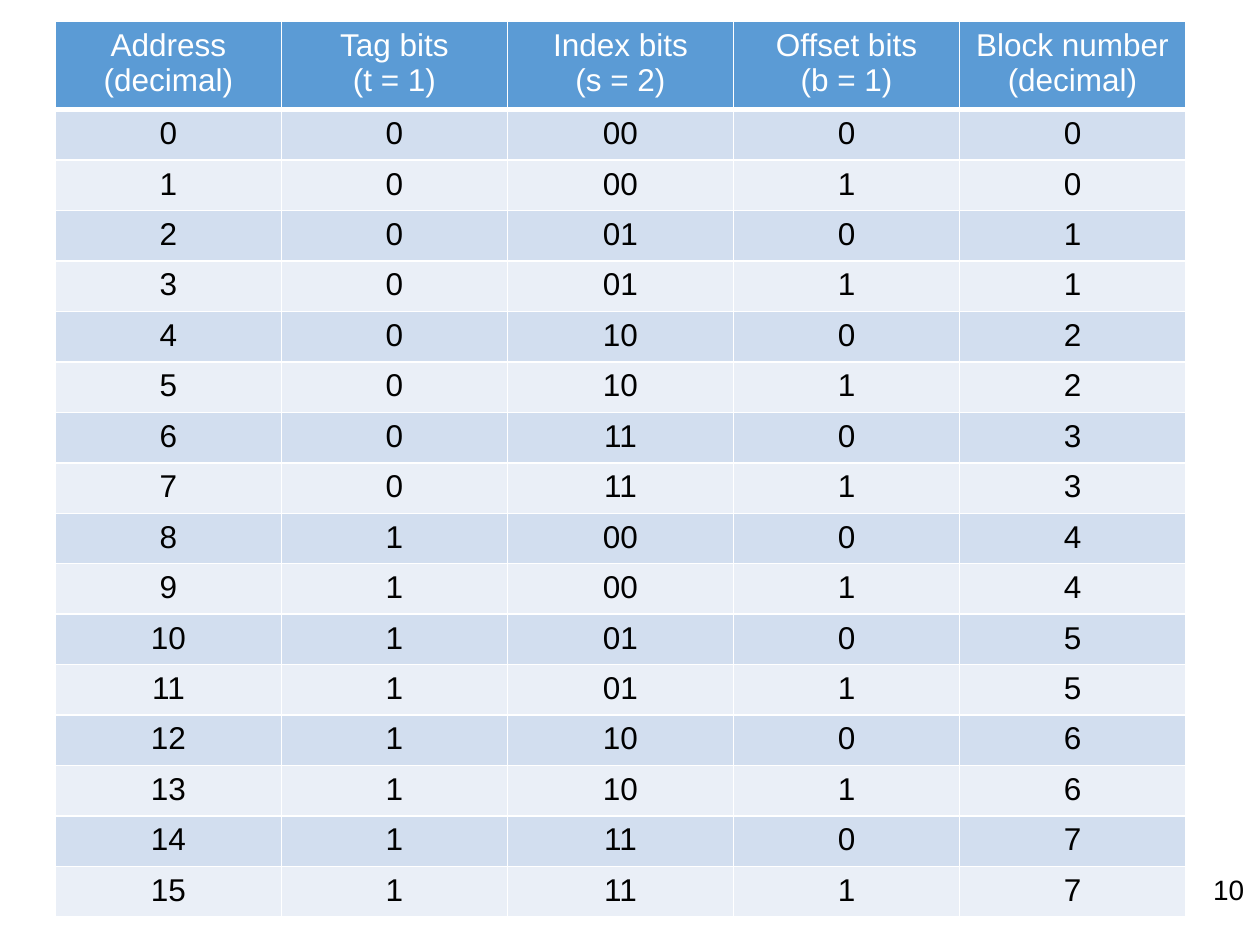
from lxml import etree
from pptx import Presentation
from pptx.dml.color import RGBColor
from pptx.enum.text import MSO_AUTO_SIZE, PP_ALIGN
from pptx.oxml.ns import qn
from pptx.util import Inches, Pt

LEFT, CENTER = PP_ALIGN.LEFT, PP_ALIGN.CENTER
FIT_SHAPE = MSO_AUTO_SIZE.SHAPE_TO_FIT_TEXT
BLANK_LAYOUT = 6

FONT = "Arial"
COLORS = {
    "header": "5B9BD5",
    "band_dark": "D2DEEF",
    "band_light": "EAEFF7",
    "white": "FFFFFF",
    "black": "000000",
}

TAG_BITS, INDEX_BITS, OFFSET_BITS = 1, 2, 1
ADDRESS_COUNT = 2 ** (TAG_BITS + INDEX_BITS + OFFSET_BITS)
HEADERS = [
    "Address\n(decimal)",
    f"Tag bits\n(t = {TAG_BITS})",
    f"Index bits\n(s = {INDEX_BITS})",
    f"Offset bits\n(b = {OFFSET_BITS})",
    "Block number\n(decimal)",
]
TABLE_LEFT, TABLE_TOP, COLUMN_WIDTH = 0.44, 0.17, 1.794
HEADER_HEIGHT, ROW_HEIGHT = 0.7, 0.4


def write_text(frame, text, size=18, color="black", align=LEFT):
    """Write one paragraph per line of text in a text frame."""
    for number, line in enumerate(text.split("\n")):
        para = frame.add_paragraph() if number else frame.paragraphs[0]
        para.alignment = align
        span = para.add_run()
        span.text = line
        span.font.name = FONT
        span.font.size = Pt(size)
        span.font.bold = False
        span.font.color.rgb = RGBColor.from_string(COLORS[color])


def set_borders(cell, bottom=1):
    """Give a cell white borders, 1 point wide except for the bottom one."""
    properties = cell._tc.get_or_add_tcPr()
    widths = {"a:lnL": 1, "a:lnR": 1, "a:lnT": 1, "a:lnB": bottom}
    for position, (tag, width) in enumerate(widths.items()):
        line = etree.Element(qn(tag), w=str(Pt(width)))
        fill = etree.SubElement(line, qn("a:solidFill"))
        etree.SubElement(fill, qn("a:srgbClr"), val=COLORS["white"])
        properties.insert(position, line)


def format_cell(cell, text, fill, color="black", bottom=1):
    """Fill a cell, draw its borders and write its centred text."""
    cell.fill.solid()
    cell.fill.fore_color.rgb = RGBColor.from_string(COLORS[fill])
    set_borders(cell, bottom)
    write_text(cell.text_frame, text, color=color, align=CENTER)


def address_row(address):
    """Split an address into tag, index, offset and block number."""
    bits = f"{address:0{TAG_BITS + INDEX_BITS + OFFSET_BITS}b}"
    index_end = TAG_BITS + INDEX_BITS
    return [str(address), bits[:TAG_BITS], bits[TAG_BITS:index_end],
            bits[index_end:], str(address >> OFFSET_BITS)]


def add_address_table(page):
    """Add the table with one row for each address."""
    table = page.shapes.add_table(
        ADDRESS_COUNT + 1, len(HEADERS), Inches(TABLE_LEFT), Inches(TABLE_TOP),
        Inches(COLUMN_WIDTH * len(HEADERS)),
        Inches(HEADER_HEIGHT + ROW_HEIGHT * ADDRESS_COUNT)).table
    for column in table.columns:
        column.width = Inches(COLUMN_WIDTH)
    for number, row in enumerate(table.rows):
        row.height = Inches(ROW_HEIGHT if number else HEADER_HEIGHT)

    for column, header in enumerate(HEADERS):
        format_cell(table.cell(0, column), header, "header", "white", bottom=3)
    for address in range(ADDRESS_COUNT):
        band = "band_light" if address % 2 else "band_dark"
        for column, value in enumerate(address_row(address)):
            format_cell(table.cell(address + 1, column), value, band)
    for cell in table.rows[1].cells:
        cell._tc.tcPr.find(qn("a:lnT")).set("w", str(Pt(3)))


def add_page_number(page, number):
    """Add the page number at the bottom right."""
    box = page.shapes.add_textbox(
        Inches(9.53), Inches(6.88), Inches(0.47), Inches(0.37))
    box.text_frame.word_wrap = True
    box.text_frame.auto_size = FIT_SHAPE
    write_text(box.text_frame, number, size=16)


def main():
    """Build the slide and save the deck."""
    deck = Presentation()
    deck.slide_width, deck.slide_height = Inches(10), Inches(7.5)
    page = deck.slides.add_slide(deck.slide_layouts[BLANK_LAYOUT])
    add_page_number(page, "10")
    add_address_table(page)
    deck.save("out.pptx")


main()
